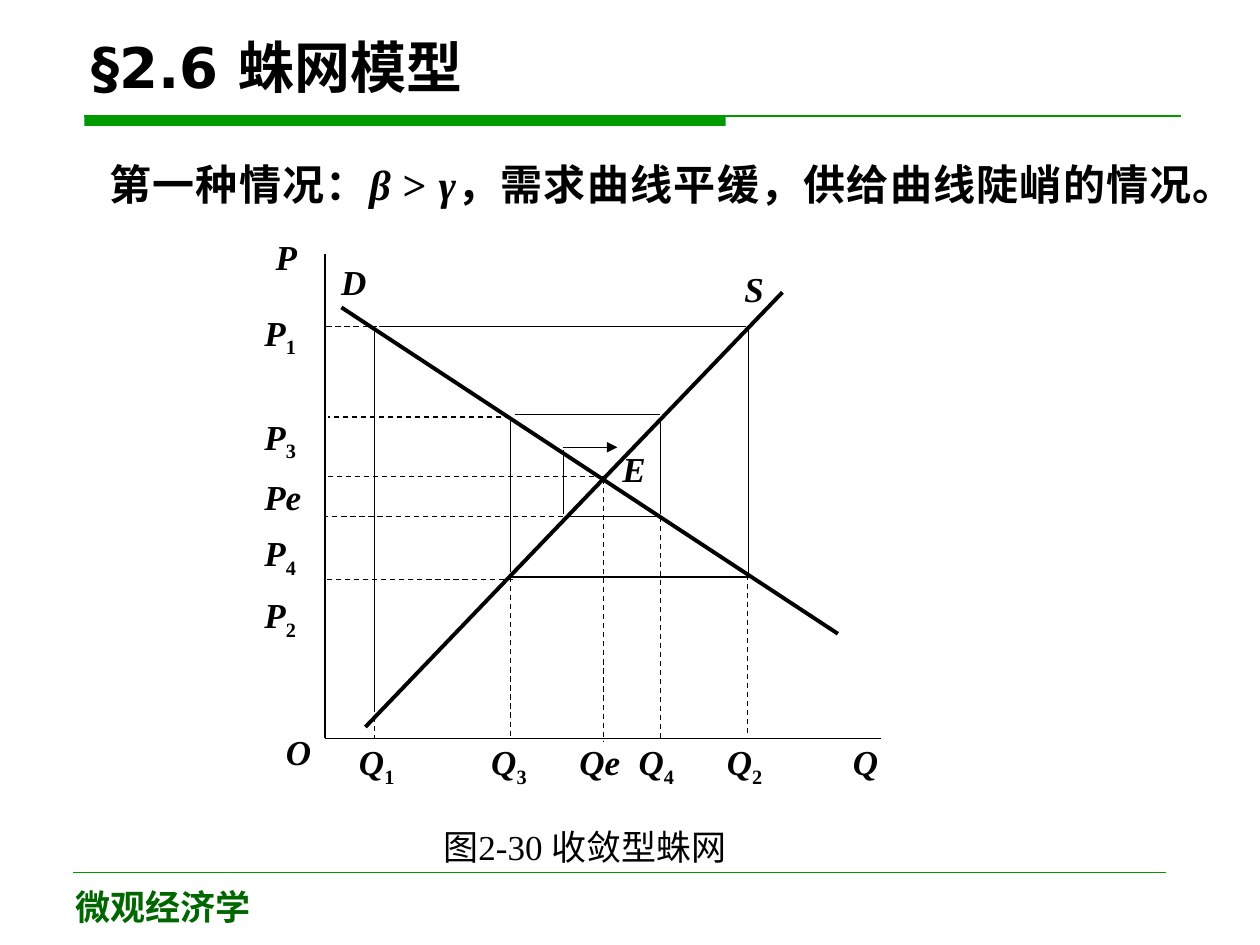
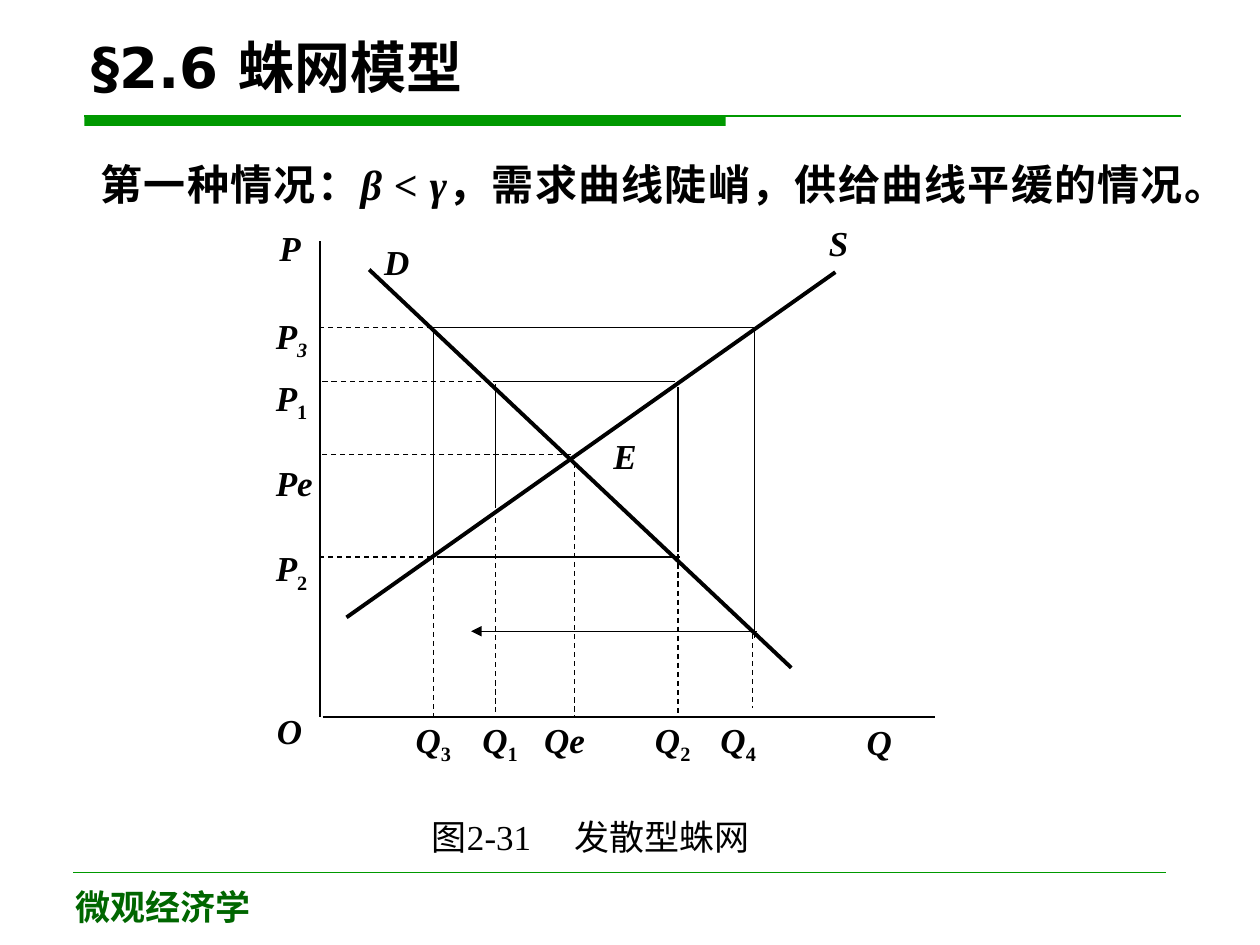
"""Build two slides on the cobweb model: the converging and the diverging case."""
from dataclasses import dataclass
from typing import NamedTuple, Optional

from lxml.etree import SubElement
from pptx import Presentation
from pptx.dml.color import RGBColor
from pptx.enum.dml import MSO_LINE
from pptx.enum.shapes import MSO_CONNECTOR as Link, MSO_SHAPE as Shape
from pptx.enum.text import MSO_ANCHOR as Anchor, PP_ALIGN as Align
from pptx.oxml.ns import qn
from pptx.util import Inches, Pt

BLACK = RGBColor(0, 0, 0)
GREEN = RGBColor(0, 0x99, 0)
DARK = RGBColor(0, 0x66, 0)
SANS = "DejaVu Sans"
SERIF = "Times New Roman"


class Run(NamedTuple):
    """A piece of text with its slant and level."""
    text: str
    slant: bool = False
    sub: bool = False


class Line(NamedTuple):
    """The two ends of a line."""
    x1: float
    y1: float
    x2: float
    y2: float


class Para(NamedTuple):
    """A paragraph with its line spacing and the space before it."""
    runs: list[Run]
    pitch: float = 1.0
    before: float = 0


class Box(NamedTuple):
    """The place of a text box."""
    x: float
    y: float
    w: float
    h: float = 0.44


@dataclass
class Case:
    """One cobweb case: its wording, labels and lines."""
    head: Box
    sign: str
    words: str
    cap: Box
    title: str
    stops: list[float]
    marks: dict[str, Box]
    prices: Box
    ticks: list[Para]
    amounts: Box
    names: list[str]
    tabs: list[float]
    curves: list[Line]
    web: list[Line]
    dashes: list[Line]
    arrow: Line


def label(name: str, slant: bool = False) -> list[Run]:
    """Split a name such as P1 into a slanted letter and a low digit."""
    if name[-1].isdigit():
        return [Run(name[:-1], True), Run(name[-1], slant, True)]
    return [Run(name, True)]


def write(slide, box: Box, paras: list[Para], *, size: float = 20,
          font: str = SERIF, color: RGBColor = BLACK, bold: bool = True,
          align: Align = Align.JUSTIFY, anchor: Anchor = Anchor.TOP,
          tabs: Optional[list[float]] = None) -> None:
    """Add a text box holding the given paragraphs."""
    frame = slide.shapes.add_textbox(*map(Inches, box)).text_frame
    frame.word_wrap = True
    frame.vertical_anchor = anchor
    for num, item in enumerate(paras):
        para = frame.add_paragraph() if num else frame.paragraphs[0]
        para.alignment = align
        para.line_spacing = item.pitch
        if item.before:
            para.space_before = Pt(item.before)
        if tabs:
            props = para._p.get_or_add_pPr()
            stops = SubElement(props, qn("a:tabLst"))
            for tab in tabs:
                SubElement(stops, qn("a:tab"), pos=str(Inches(tab)), algn="l")
        for piece in item.runs:
            run = para.add_run()
            run.text = piece.text
            face = run.font
            face.name, face.size, face.bold = font, Pt(size), bold
            face.italic = piece.slant
            face.color.rgb = color
            if piece.sub:
                run._r.get_or_add_rPr().set("baseline", "-25000")


def draw(slide, line: Line, *, width: float = 0.75, color: RGBColor = BLACK,
         dash: bool = False, arrow: bool = False) -> None:
    """Draw a straight line, dashed or with an arrowhead on request."""
    link = slide.shapes.add_connector(Link.STRAIGHT, *map(Inches, line))
    link.line.width = Pt(width)
    link.line.color.rgb = color
    if dash:
        link.line.dash_style = MSO_LINE.DASH
    if arrow:
        SubElement(link.line._get_or_add_ln(), qn("a:tailEnd"), type="triangle")
    SubElement(link._element.spPr, qn("a:effectLst"))


def frame(slide) -> None:
    """Draw the title, the band, the rules and the footer."""
    band = slide.shapes.add_shape(
        Shape.RECTANGLE, *map(Inches, (0.67, 0.92, 5.09, 0.08)))
    band.shadow.inherit = False
    band.fill.solid()
    band.fill.fore_color.rgb = GREEN
    band.line.fill.background()
    draw(slide, Line(0.67, 0.92, 9.37, 0.92), color=GREEN)
    draw(slide, Line(0.58, 6.92, 9.25, 6.92), color=GREEN, width=0.25)
    write(slide, Box(0.5, 6.98, 2.5, 0.52), [Para([Run("微观经济学")])],
          font=SANS, color=DARK, align=Align.LEFT)
    write(slide, Box(0.63, 0.17, 8.75, 0.67), [Para([Run("§2.6 蛛网模型")])],
          size=32, font=SANS, align=Align.LEFT, anchor=Anchor.BOTTOM)


def show(slide, case: Case) -> None:
    """Draw one case on its slide."""
    frame(slide)
    head = [Run("第一种情况："), Run("β", True), Run(f" {case.sign} "),
            Run("γ", True), Run(case.words)]
    write(slide, case.head, [Para(head)], size=24)
    write(slide, case.cap, [Para([Run(case.title)])], bold=False,
          align=Align.LEFT, tabs=case.stops)
    for name, box in case.marks.items():
        write(slide, box, [Para(label(name))])
    write(slide, case.prices, case.ticks)
    runs = label(case.names[0])
    for name in case.names[1:]:
        runs += [Run("\t"), *label(name)]
    write(slide, case.amounts, [Para(runs)], tabs=case.tabs)
    for line in case.web:
        draw(slide, line)
    for line in case.dashes:
        draw(slide, line, dash=True)
    for line in case.curves:
        draw(slide, line, width=2.25)
    draw(slide, case.arrow, arrow=True)


INWARD = Case(
    head=Box(0.77, 1.21, 8.8, 0.9), sign=">",
    words="，需求曲线平缓，供给曲线陡峭的情况。",
    cap=Box(3.42, 6.5, 2.8, 0.51), title="图2-30 收敛型蛛网", stops=[],
    marks={"O": Box(2.17, 5.75, 0.4), "Q": Box(6.67, 5.83, 0.79),
           "E": Box(4.84, 3.5, 0.38), "D": Box(2.61, 2.02, 0.73),
           "P": Box(2.09, 1.82, 0.37), "S": Box(5.81, 2.07, 0.35)},
    prices=Box(2, 2.42, 0.73, 2.77),
    ticks=[Para(label("P1")), Para(label("P3"), 1.3, 24),
           *(Para(label(name), 1.3) for name in ("Pe", "P4", "P2"))],
    amounts=Box(2.75, 5.83, 3.78, 0.58),
    names=["Q1", "Q3", "Qe", "Q4", "Q2"], tabs=[1.05, 1.75, 2.22, 2.92],
    curves=[Line(2.9, 5.77, 6.21, 2.32), Line(2.71, 2.44, 6.65, 5.03)],
    web=[Line(2.58, 5.86, 6.99, 5.86), Line(2.58, 5.86, 2.58, 2.02),
         Line(4.47, 3.57, 4.47, 4.08), Line(4.49, 4.1, 5.22, 4.1),
         Line(5.24, 4.08, 5.24, 3.31), Line(5.24, 3.29, 4.09, 3.29),
         Line(4.05, 3.33, 4.05, 4.54), Line(4.05, 4.58, 5.96, 4.58),
         Line(5.94, 4.56, 5.94, 2.59), Line(5.92, 2.59, 3.01, 2.59),
         Line(2.97, 2.63, 2.97, 5.65)],
    dashes=[Line(2.97, 5.69, 2.97, 5.86), Line(4.05, 4.58, 4.05, 5.86),
            Line(4.79, 3.8, 4.79, 5.88), Line(5.93, 4.56, 5.93, 5.84),
            Line(5.24, 4.1, 5.24, 5.88), Line(2.99, 2.59, 2.58, 2.59),
            Line(4.05, 3.31, 2.6, 3.31), Line(4.79, 3.78, 2.6, 3.78),
            Line(4.47, 4.1, 2.58, 4.1), Line(4.07, 4.6, 2.58, 4.6)],
    arrow=Line(4.47, 3.55, 4.9, 3.55))

OUTWARD = Case(
    head=Box(0.7, 1.21, 8.8, 0.9), sign="<",
    words="，需求曲线陡峭，供给曲线平缓的情况。",
    cap=Box(3.33, 6.42, 2.8, 0.52), title="图2-31\t发散型蛛网", stops=[1.13],
    marks={"O": Box(2.1, 5.58, 0.4), "Q": Box(6.78, 5.67, 0.61),
           "E": Box(4.77, 3.4, 0.38), "D": Box(2.95, 1.86, 0.8),
           "P": Box(2.12, 1.75, 0.37), "S": Box(6.48, 1.71, 0.35)},
    prices=Box(2.09, 2.33, 0.82, 2.44),
    ticks=[Para(label("P3", True), 1.3), Para(label("P1"), 1.3),
           Para(label("Pe"), 1.9), Para(label("P2"), 1.9)],
    amounts=Box(3.2, 5.65, 3.64, 0.48),
    names=["Q3", "Q1", "Qe", "Q2", "Q4"], tabs=[0.53, 1.02, 1.9, 2.42],
    curves=[Line(6.63, 2.16, 2.75, 4.9), Line(2.93, 2.14, 6.28, 5.3)],
    web=[Line(2.56, 5.69, 7.42, 5.69), Line(2.54, 5.69, 2.54, 1.91),
         Line(3.44, 4.47, 3.44, 2.6), Line(3.44, 2.6, 5.99, 2.6),
         Line(5.99, 2.6, 5.99, 5.06), Line(3.47, 4.42, 5.4, 4.42),
         Line(5.38, 4.38, 5.38, 3.07), Line(5.36, 3.03, 3.91, 3.03),
         Line(3.93, 3.05, 3.93, 4.03)],
    dashes=[Line(3.44, 4.37, 3.44, 5.7), Line(4.56, 3.6, 4.56, 5.7),
            Line(5.97, 5.03, 5.97, 5.62), Line(3.93, 4.11, 3.93, 5.65),
            Line(5.38, 4.4, 5.38, 5.69), Line(4.53, 3.61, 2.54, 3.61),
            Line(3.89, 3.03, 2.54, 3.03), Line(3.43, 2.6, 2.54, 2.6),
            Line(3.43, 4.42, 2.54, 4.42)],
    arrow=Line(6.01, 5.01, 3.74, 5.01))


def main() -> None:
    """Build the deck and save it."""
    deck = Presentation()
    deck.slide_width, deck.slide_height = Inches(10), Inches(7.5)
    for case in (INWARD, OUTWARD):
        show(deck.slides.add_slide(deck.slide_layouts[6]), case)
    deck.save("out.pptx")


if __name__ == "__main__":
    main()
